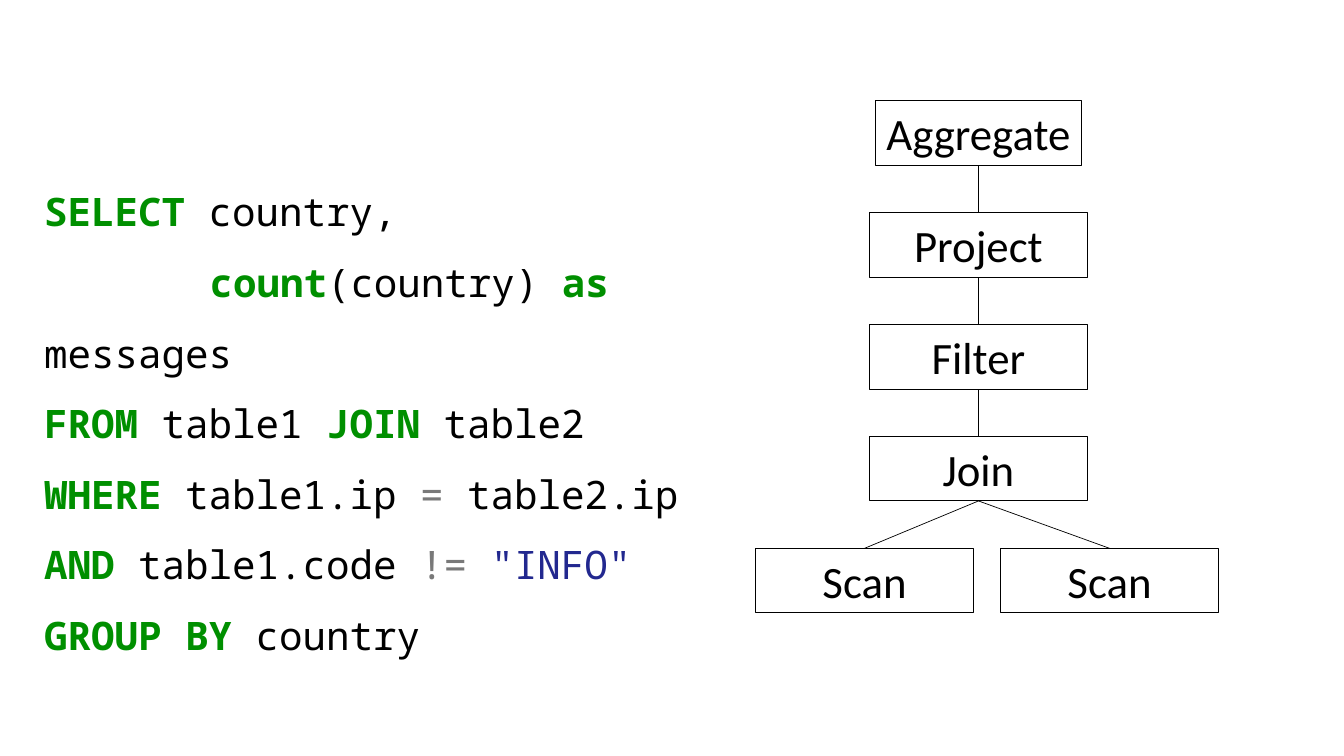
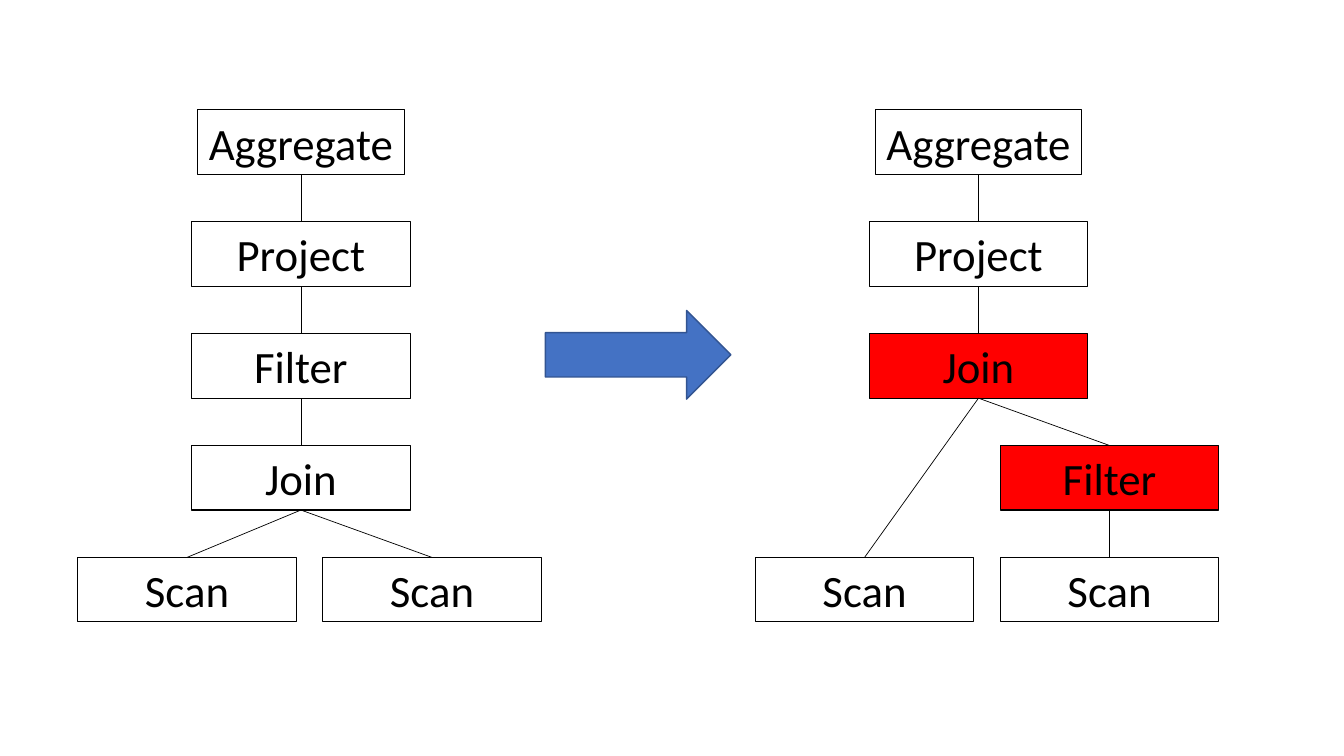
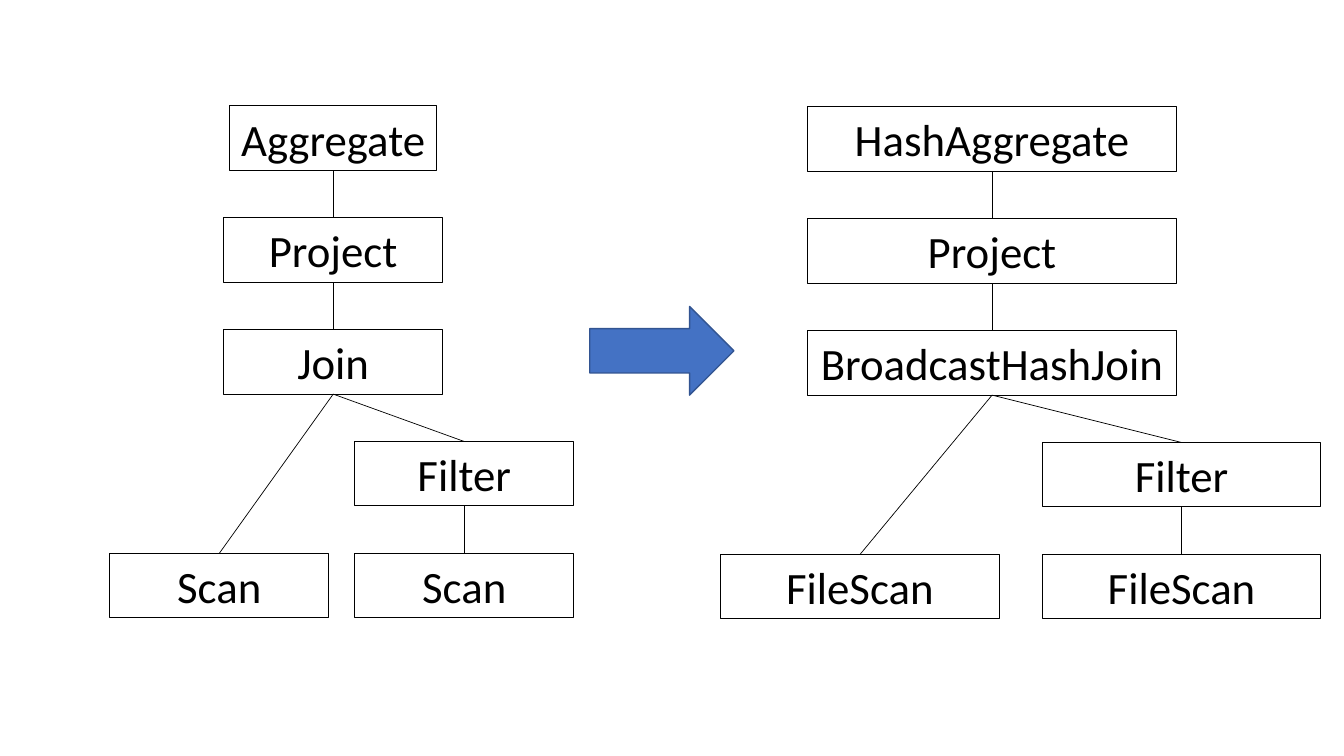
import pptx
import pptx.dml.color
import pptx.enum.shapes
import pptx.enum.text
import pptx.oxml
import pptx.oxml.ns
import pptx.util

EMU_PER_PX = 9144
COLORS = {
    "text": "000000", "line": "000000", "changed": "FF0000",
    "arrow": "4472C4", "arrow_line": "325491",
    "keyword": "008F00", "operator": "797979", "string": "22288F",
}
BOX_HEIGHT = 64
ROW_STEP = 111
TOP, BOTTOM = 0, 2

# Nodes: key -> (label, offset from the tree axis, row, width)
LOGICAL_NODES = {
    "aggregate": ("Aggregate", 0, 0, 205),
    "project": ("Project", 0, 1, 217),
    "filter": ("Filter", 0, 2, 217),
    "join": ("Join", 0, 3, 217),
    "left_scan": ("Scan", -113, 4, 217),
    "right_scan": ("Scan", 130, 4, 217),
}
LOGICAL_LINKS = [
    ("aggregate", "project"), ("project", "filter"), ("filter", "join"),
    ("join", "left_scan"), ("join", "right_scan"),
]
OPTIMIZED_NODES = {
    **LOGICAL_NODES,
    "join": ("Join", 0, 2, 217),
    "filter": ("Filter", 130, 3, 217),
}
PHYSICAL_NODES = {
    "aggregate": ("HashAggregate", 0, 0, 366),
    "project": ("Project", 0, 1, 366),
    "join": ("BroadcastHashJoin", 0, 2, 366),
    "filter": ("Filter", 188, 3, 276),
    "left_scan": ("FileScan", -131, 4, 276),
    "right_scan": ("FileScan", 188, 4, 276),
}
OPTIMIZED_LINKS = [
    ("aggregate", "project"), ("project", "join"), ("join", "left_scan"),
    ("join", "filter"), ("filter", "right_scan"),
]

# Query lines: (first-line indent, [(text, role), ...])
QUERY = [
    (0, [("SELECT", "keyword"), (" country,", "text")]),
    (164, [("count", "keyword"), ("(country) ", "text"), ("as", "keyword"),
           (" messages", "text")]),
    (0, [("FROM", "keyword"), (" table1 ", "text"), ("JOIN", "keyword"),
         (" table2", "text")]),
    (0, [("WHERE", "keyword"), (" table1.ip ", "text"), ("=", "operator"),
         (" table2.ip", "text")]),
    (0, [("AND", "keyword"), (" table1.code ", "text"), ("!= ", "operator"),
         ('"INFO"', "string")]),
    (0, [("GROUP BY", "keyword"), (" country", "text")]),
]


def px(length):
    return pptx.util.Emu(length * EMU_PER_PX)


def rgb(name):
    return pptx.dml.color.RGBColor.from_string(COLORS[name])


def write(paragraph, text, *, font="Calibri", size=32, color="text", bold=False):
    run = paragraph.add_run()
    run.text = text
    run.font.name = font
    run.font.size = pptx.util.Pt(size)
    run.font.bold = bold
    run.font.color.rgb = rgb(color)


class Deck:
    def __init__(self):
        self.presentation = pptx.Presentation()
        self.presentation.slide_width = px(1333)
        self.presentation.slide_height = px(750)
        self.slide = None

    def new_slide(self):
        blank = self.presentation.slide_layouts[6]
        self.slide = self.presentation.slides.add_slide(blank)

    def shape(self, kind, left, top, width, height, *, fill, line, line_width):
        shape = self.slide.shapes.add_shape(
            kind, px(left), px(top), px(width), px(height))
        shape.shadow.inherit = False
        if fill:
            shape.fill.solid()
            shape.fill.fore_color.rgb = rgb(fill)
        else:
            shape.fill.background()
        shape.line.color.rgb = rgb(line)
        shape.line.width = pptx.util.Pt(line_width)
        return shape

    def box(self, label, center, top, width, fill=None):
        box = self.shape(
            pptx.enum.shapes.MSO_SHAPE.RECTANGLE, center - width // 2, top,
            width, BOX_HEIGHT, fill=fill, line="line", line_width=0.75)
        frame = box.text_frame
        frame.word_wrap = False
        frame.auto_size = pptx.enum.text.MSO_AUTO_SIZE.SHAPE_TO_FIT_TEXT
        frame.paragraphs[0].alignment = pptx.enum.text.PP_ALIGN.CENTER
        write(frame.paragraphs[0], label)
        return box

    def link(self, parent, child):
        link = self.slide.shapes.add_connector(
            pptx.enum.shapes.MSO_CONNECTOR.STRAIGHT, 0, 0, 0, 0)
        link.begin_connect(parent, BOTTOM)
        link.end_connect(child, TOP)
        link.line.color.rgb = rgb("line")
        link.line.width = pptx.util.Pt(0.5)
        link._element.spPr.append(
            pptx.oxml.parse_xml("<a:effectLst %s/>" % pptx.oxml.ns.nsdecls("a")))

    def tree(self, axis, top, nodes, links, changed=()):
        boxes = {
            key: self.box(label, axis + offset, top + row * ROW_STEP, width,
                          "changed" if key in changed else None)
            for key, (label, offset, row, width) in nodes.items()
        }
        for parent, child in links:
            self.link(boxes[parent], boxes[child])

    def arrow(self, left, top, width):
        self.shape(
            pptx.enum.shapes.MSO_SHAPE.RIGHT_ARROW, left, top, width, 88,
            fill="arrow", line="arrow_line", line_width=1)

    def code(self, left, top, width, height, lines):
        frame = self.slide.shapes.add_textbox(
            px(left), px(top), px(width), px(height)).text_frame
        frame.word_wrap = True
        frame.auto_size = pptx.enum.text.MSO_AUTO_SIZE.SHAPE_TO_FIT_TEXT
        for number, (indent, parts) in enumerate(lines):
            paragraph = frame.add_paragraph() if number else frame.paragraphs[0]
            paragraph.line_spacing = 1.5
            if indent:
                properties = paragraph._p.get_or_add_pPr()
                properties.set("marL", "0")
                properties.set("indent", str(px(indent)))
            for text, role in parts:
                write(paragraph, text, font="Noto Sans Mono", size=28,
                      color=role, bold=role == "keyword")


def main():
    deck = Deck()

    # Query and its logical plan
    deck.new_slide()
    deck.code(34, 158, 729, 434, QUERY)
    deck.tree(970, 100, LOGICAL_NODES, LOGICAL_LINKS)

    # Logical plan to optimized plan
    deck.new_slide()
    deck.tree(298, 109, LOGICAL_NODES, LOGICAL_LINKS)
    deck.tree(970, 109, OPTIMIZED_NODES, OPTIMIZED_LINKS,
              changed=("join", "filter"))
    deck.arrow(541, 308, 184)

    # Optimized plan to physical plan
    deck.new_slide()
    deck.tree(330, 105, OPTIMIZED_NODES, OPTIMIZED_LINKS)
    deck.tree(984, 106, PHYSICAL_NODES, OPTIMIZED_LINKS)
    deck.arrow(585, 304, 143)

    deck.presentation.save("out.pptx")


if __name__ == "__main__":
    main()
